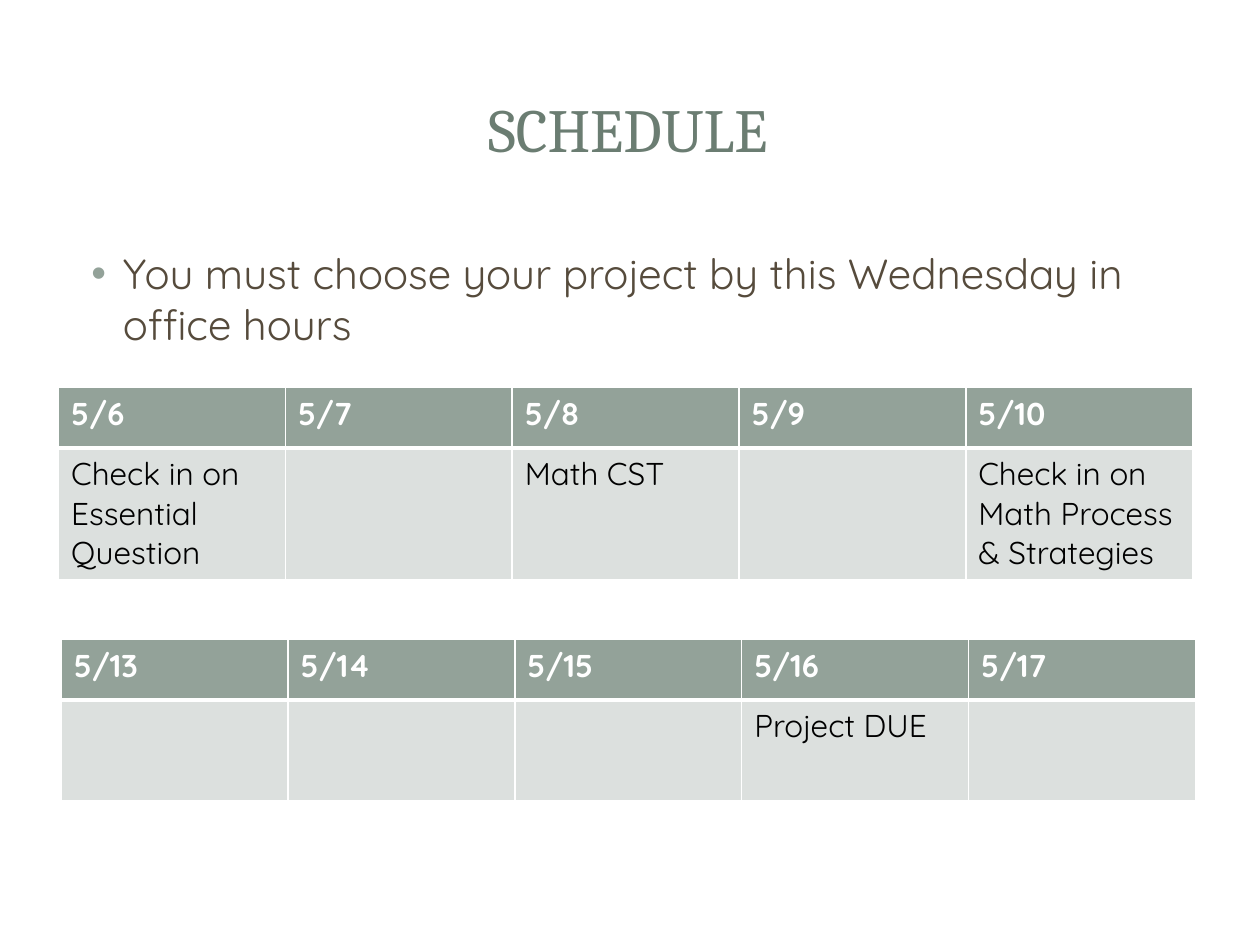
from pptx import Presentation
from pptx.dml.color import RGBColor
from pptx.enum.shapes import MSO_SHAPE as Form
from pptx.enum.text import MSO_ANCHOR as Anchor, MSO_AUTO_SIZE as Fit, PP_ALIGN as Align
from pptx.oxml import parse_xml
from pptx.oxml.ns import nsdecls
from pptx.util import Pt

WHITE = RGBColor(0xFF, 0xFF, 0xFF)
BLACK = RGBColor(0, 0, 0)
GREEN = RGBColor(0x6B, 0x7D, 0x72)
SAGE = RGBColor(0x93, 0xA2, 0x99)
PALE = RGBColor(0xDC, 0xE0, 0xDE)
BROWN = RGBColor(0x56, 0x4B, 0x3C)


class Deck:
    head = "Cambria"
    text = "Quicksand"

    def __init__(self):
        self.file = Presentation()
        self.file.slide_width, self.file.slide_height = Pt(720), Pt(540)
        self.slide = self.file.slides.add_slide(self.file.slide_layouts[1])
        self.depth = 2

    def style(self, para, face, size, color, bold=False):
        for run in para.runs:
            font = run.font
            font.name, font.size, font.bold = face, Pt(size), bold
            font.color.rgb = color

    def place(self, shape, left, top, width, height):
        shape.left, shape.top = Pt(left), Pt(top)
        shape.width, shape.height = Pt(width), Pt(height)

    def panel(self, form, *box, curve=None, alpha=None):
        shapes = self.slide.shapes
        shape = shapes.add_shape(form, *map(Pt, box))
        shape.shadow.inherit = False
        shape.fill.solid()
        shape.fill.fore_color.rgb = WHITE
        shape.line.fill.background()
        if curve is not None:
            shape.adjustments[0] = curve
        if alpha is not None:
            tint = shape._element.spPr.find(".//{*}srgbClr")
            tint.append(parse_xml(f'<a:alpha {nsdecls("a")} val="{alpha * 1000}"/>'))
        shapes._spTree.insert(self.depth, shape._element)
        self.depth += 1

    def title(self, words, *box):
        shape = self.slide.shapes.title
        self.place(shape, *box)
        frame = shape.text_frame
        frame.text = words
        frame.auto_size = Fit.NONE
        frame.vertical_anchor = Anchor.MIDDLE
        para = frame.paragraphs[0]
        para.alignment = Align.CENTER
        self.style(para, self.head, 35, GREEN)

    def bullets(self, words, *box):
        shape = self.slide.placeholders[1]
        self.place(shape, *box)
        frame = shape.text_frame
        frame.text = words
        frame.auto_size = Fit.NONE
        for para in frame.paragraphs:
            para.space_before = Pt(4.8)
            self.style(para, self.text, 24, BROWN)
            props = para._p.get_or_add_pPr()
            props.set("marL", str(Pt(27)))
            props.set("indent", str(Pt(-18)))
            for part in (
                f'<a:buClr {nsdecls("a")}><a:srgbClr val="{SAGE}"/></a:buClr>',
                f'<a:buFont {nsdecls("a")} typeface="Arial"/>',
                f'<a:buChar {nsdecls("a")} char="•"/>',
            ):
                props.append(parse_xml(part))

    def border(self, cell, base):
        props = cell._tc.get_or_add_tcPr()
        for spot, (side, size) in enumerate(zip("LRTB", (1, 1, 1, base))):
            props.insert(spot, parse_xml(
                f'<a:ln{side} {nsdecls("a")} w="{Pt(size)}"><a:solidFill>'
                f'<a:srgbClr val="{WHITE}"/></a:solidFill></a:ln{side}>'))

    def week(self, days, tasks, left, top):
        rows = (days, tasks)
        highs = (34.6, 57.6)
        table = self.slide.shapes.add_table(
            len(rows), len(days), Pt(left), Pt(top), Pt(648), Pt(sum(highs))).table
        table.horz_banding = False
        looks = ((SAGE, WHITE, True, 3), (PALE, BLACK, False, 1))
        for r, (words, high, look) in enumerate(zip(rows, highs, looks)):
            fill, ink, bold, base = look
            table.rows[r].height = Pt(high)
            for c, word in enumerate(words):
                cell = table.cell(r, c)
                cell.text = word
                cell.fill.solid()
                cell.fill.fore_color.rgb = fill
                self.style(cell.text_frame.paragraphs[0], self.text, 18, ink, bold)
                self.border(cell, base)


def main():
    deck = Deck()
    deck.panel(Form.ROUNDED_RECTANGLE, 7.2, 7.9, 705.6, 525, curve=0.017)
    deck.panel(Form.RECTANGLE, 21.6, 21.6, 676.8, 104.4, alpha=83)
    deck.panel(Form.RECTANGLE, 29.5, 29.5, 660.2, 87.8)
    deck.title("SCHEDULE", 33.8, 32.4, 650, 82)
    deck.bullets("You must choose your project by this Wednesday in office hours",
                 36, 138, 648, 344)
    deck.week([f"5/{day}" for day in range(6, 11)],
              ["Check in on Essential Question", "", "Math CST", "",
               "Check in on Math Process & Strategies"], 33.5, 221.5)
    deck.week([f"5/{day}" for day in range(13, 18)],
              ["", "", "", "Project DUE", ""], 35, 365.5)
    deck.file.save("out.pptx")


if __name__ == "__main__":
    main()
